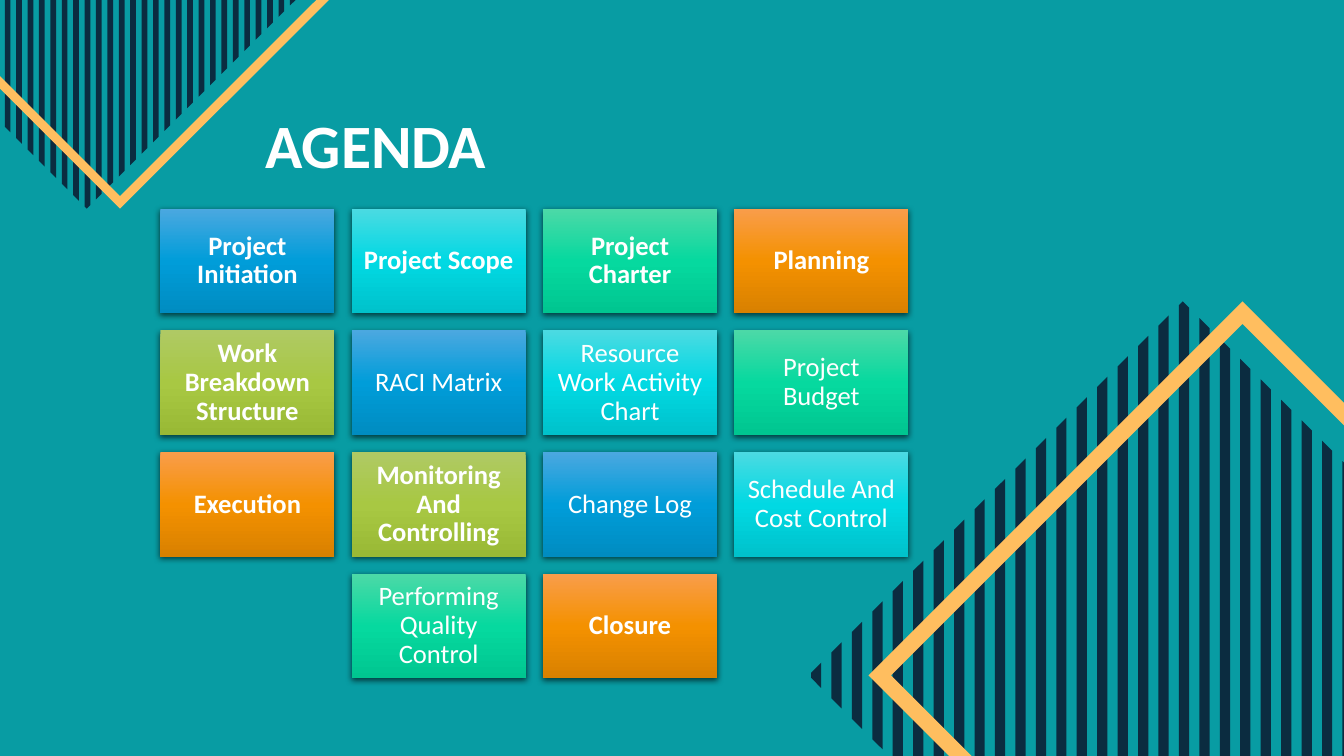
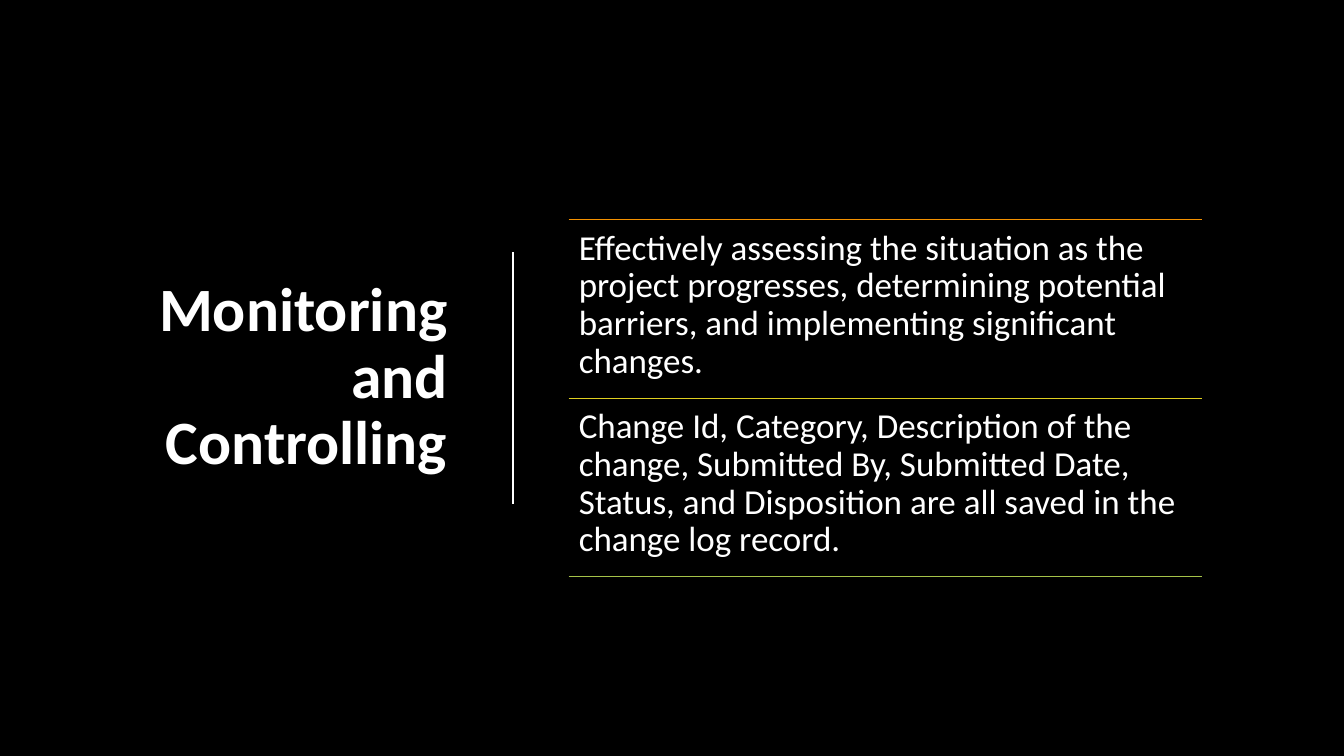
from copy import deepcopy
from dataclasses import dataclass
from itertools import count

from lxml import etree
from pptx import Presentation
from pptx.dml.color import RGBColor
from pptx.enum.shapes import MSO_CONNECTOR, MSO_SHAPE
from pptx.enum.text import MSO_ANCHOR, MSO_AUTO_SIZE, PP_ALIGN
from pptx.oxml.ns import qn
from pptx.util import Inches, Pt

STRAIGHT = MSO_CONNECTOR.STRAIGHT
RECTANGLE = MSO_SHAPE.RECTANGLE
TOP, MIDDLE = MSO_ANCHOR.TOP, MSO_ANCHOR.MIDDLE
LEFT, CENTER, RIGHT = PP_ALIGN.LEFT, PP_ALIGN.CENTER, PP_ALIGN.RIGHT
NO_AUTOFIT = MSO_AUTO_SIZE.NONE
TWO_CONTENT, TITLE_ONLY = 3, 5


@dataclass(frozen=True)
class Theme:
    font: str = "Calibri"
    title_size: float = 44
    body_size: float = 25
    tile_size: float = 19
    text: str = "FFFFFF"
    teal: str = "089CA3"
    black: str = "000000"
    stripe: str = "0C2036"
    frame: str = "FFBE5F"
    rules: tuple = ("F49100", "DFCF20", "A5C249")
    tiles: tuple = (
        ("4BA8E0", "009DD9", "008CC1"),
        ("4BDAE2", "01D9E3", "00C2CB"),
        ("4CD9A7", "06D99F", "00C690"),
        ("F99D4B", "F49100", "D98100"),
        ("AFC964", "A8C843", "99B935"),
    )


THEME = Theme()

AGENDA = (
    (("Project Initiation", True), ("Project Scope", True),
     ("Project Charter", True), ("Planning", True)),
    (("Work Breakdown Structure", True), ("RACI Matrix", False),
     ("Resource Work Activity Chart", False), ("Project Budget", False)),
    (("Execution", True), ("Monitoring And Controlling", True),
     ("Change Log", False), ("Schedule And Cost Control", False)),
    (("Performing Quality Control", False), ("Closure", True)),
)

CONTROL_POINTS = (
    "Effectively assessing the situation as the project progresses, "
    "determining potential barriers, and implementing significant changes.",
    "Change Id, Category, Description of the change, Submitted By, Submitted Date, "
    "Status, and Disposition are all saved in the change log record.",
)


def color(value):
    return RGBColor.from_string(value)


def place(shape, left, top, width, height):
    shape.left, shape.top = Inches(left), Inches(top)
    shape.width, shape.height = Inches(width), Inches(height)


def write_text(shape, text, size, bold=False, align=LEFT, anchor=TOP,
               spacing=0.9, after=0, inset=None):
    frame = shape.text_frame
    frame.text = text
    frame.word_wrap = True
    frame.auto_size = NO_AUTOFIT
    frame.vertical_anchor = anchor
    if inset is not None:
        frame.margin_left = frame.margin_right = Inches(inset)
        frame.margin_top = frame.margin_bottom = Inches(inset)
    paragraph = frame.paragraphs[0]
    paragraph.alignment = align
    paragraph.line_spacing = spacing
    paragraph.space_before = Pt(0)
    paragraph.space_after = Pt(after)
    font = paragraph.font
    font.name, font.size, font.bold = THEME.font, Pt(size), bold
    font.color.rgb = color(THEME.text)
    return paragraph


def add_slide(presentation, layout, background):
    slide = presentation.slides.add_slide(presentation.slide_layouts[layout])
    slide.background.fill.solid()
    slide.background.fill.fore_color.rgb = color(background)
    return slide


def set_title(slide, text, box, **style):
    place(slide.shapes.title, *box)
    write_text(slide.shapes.title, text, THEME.title_size, bold=True, **style)


def add_rule(slide, start, end, line_color, weight):
    rule = slide.shapes.add_connector(STRAIGHT, *map(Inches, start + end))
    rule.line.color.rgb = color(line_color)
    rule.line.width = Pt(weight)
    etree.SubElement(rule.element.spPr, qn("a:effectLst"))


def add_outline(shapes, contours, fill):
    contours = [[(Inches(x), Inches(y)) for x, y in points] for points in contours]
    builder = shapes.build_freeform(*contours[0][0], scale=1.0)
    for index, points in enumerate(contours):
        if index:
            builder.move_to(*points[0])
        builder.add_line_segments(points[1:], close=True)
    outline = builder.convert_to_shape()
    outline.shadow.inherit = False
    outline.fill.solid()
    outline.fill.fore_color.rgb = color(fill)
    outline.line.fill.background()
    return outline


def stripe_points(center_x, center_y, half, left, right):
    left_reach = half - abs(left - center_x)
    right_reach = max(half - abs(right - center_x), 0)
    top, bottom = [(left, center_y - left_reach)], [(left, center_y + left_reach)]
    if left < center_x < right:
        top.append((center_x, center_y - half))
        bottom.append((center_x, center_y + half))
    top.append((right, center_y - right_reach))
    bottom.append((right, center_y + right_reach))
    return top + bottom[::-1]


def diamond_points(center_x, center_y, half):
    return [(center_x - half, center_y), (center_x, center_y + half),
            (center_x + half, center_y), (center_x, center_y - half)]


def add_striped_diamond(slide, center_x, center_y, half):
    group = slide.shapes.add_group_shape()
    pitch = half / 18.3
    first = center_x - 0.01 * half
    lefts = [first + step * pitch for step in range(-18, 19)]
    stripes = add_outline(
        group.shapes,
        [stripe_points(center_x, center_y, half, left, left + pitch / 2) for left in lefts],
        THEME.stripe,
    )
    stripe_color = stripes.element.spPr.find(".//" + qn("a:srgbClr"))
    etree.SubElement(stripe_color, qn("a:alpha"), val="90000")
    frame_x = center_x + 0.16 * half
    add_outline(
        group.shapes,
        [diamond_points(frame_x, center_y, half),
         diamond_points(frame_x, center_y, 0.94 * half)[::-1]],
        THEME.frame,
    )


def fill_gradient(shape, colors):
    shape.fill.gradient()
    shape.fill.gradient_angle = 270
    stops = shape.element.spPr.find(".//" + qn("a:gsLst"))
    stops.insert(1, deepcopy(stops[0]))
    for index, stop in enumerate(shape.fill.gradient_stops):
        stop.color.rgb = color(colors[index])
        stop.position = index / 2


def add_shadow(shape):
    shape.shadow.inherit = False
    effects = shape.element.spPr.find(qn("a:effectLst"))
    shadow = etree.SubElement(
        effects, qn("a:outerShdw"), blurRad=str(Pt(4.5)), dist=str(Pt(1.5)),
        dir="5400000", algn="ctr", rotWithShape="0")
    shadow_color = etree.SubElement(shadow, qn("a:srgbClr"), val=THEME.black)
    etree.SubElement(shadow_color, qn("a:alpha"), val="63000")


def add_tile(slide, box, text, bold, colors):
    tile = slide.shapes.add_shape(RECTANGLE, *map(Inches, box))
    fill_gradient(tile, colors)
    tile.line.fill.background()
    add_shadow(tile)
    write_text(tile, text, THEME.tile_size, bold, CENTER, MIDDLE, inset=0.08)


def add_tile_grid(slide, left, top, width, height, rows, gap=0.17):
    columns = max(map(len, rows))
    tile_width = (width - gap * (columns - 1)) / columns
    tile_height = (height - gap * (len(rows) - 1)) / len(rows)
    number = count()
    for row_index, row in enumerate(rows):
        indent = (columns - len(row)) / 2
        for column, (text, bold) in enumerate(row):
            box = (left + (indent + column) * (tile_width + gap),
                   top + row_index * (tile_height + gap), tile_width, tile_height)
            add_tile(slide, box, text, bold, THEME.tiles[next(number) % len(THEME.tiles)])


def add_ruled_list(slide, left, top, width, height, texts):
    row_height = height / len(texts)
    for index, rule_color in enumerate(THEME.rules):
        y = top + index * row_height
        add_rule(slide, (left, y), (left + width, y), rule_color, 0.5)
    for index, text in enumerate(texts):
        body = slide.placeholders[index + 1]
        place(body, left, top + index * row_height, width, row_height)
        paragraph = write_text(body, text, THEME.body_size, inset=0.1)
        properties = paragraph._p.get_or_add_pPr()
        properties.set("marL", "0")
        properties.set("indent", "0")
        bullet = etree.Element(qn("a:buNone"))
        properties.find(qn("a:spcAft")).addnext(bullet)


def add_agenda_slide(presentation):
    slide = add_slide(presentation, TITLE_ONLY, THEME.teal)
    add_striped_diamond(slide, 11.73, 6.7, 3.71)
    add_striped_diamond(slide, 0.86, 0, 2.07)
    set_title(slide, "AGENDA", (2.53, 1.01, 7.26, 0.84), spacing=1.0)
    add_tile_grid(slide, 1.59, 2.07, 7.42, 4.66, AGENDA)


def add_control_slide(presentation):
    slide = add_slide(presentation, TWO_CONTENT, THEME.black)
    set_title(slide, "Monitoring and Controlling", (0.92, 1.17, 3.62, 5.17),
              align=RIGHT, anchor=MIDDLE, after=6)
    add_rule(slide, (5.09, 2.5), (5.09, 5), THEME.text, 1.25)
    add_ruled_list(slide, 5.64, 2.18, 6.28, 3.54, CONTROL_POINTS)


def main():
    presentation = Presentation()
    presentation.slide_width = Inches(13.33)
    presentation.slide_height = Inches(7.5)
    add_agenda_slide(presentation)
    add_control_slide(presentation)
    presentation.save("out.pptx")


if __name__ == "__main__":
    main()
